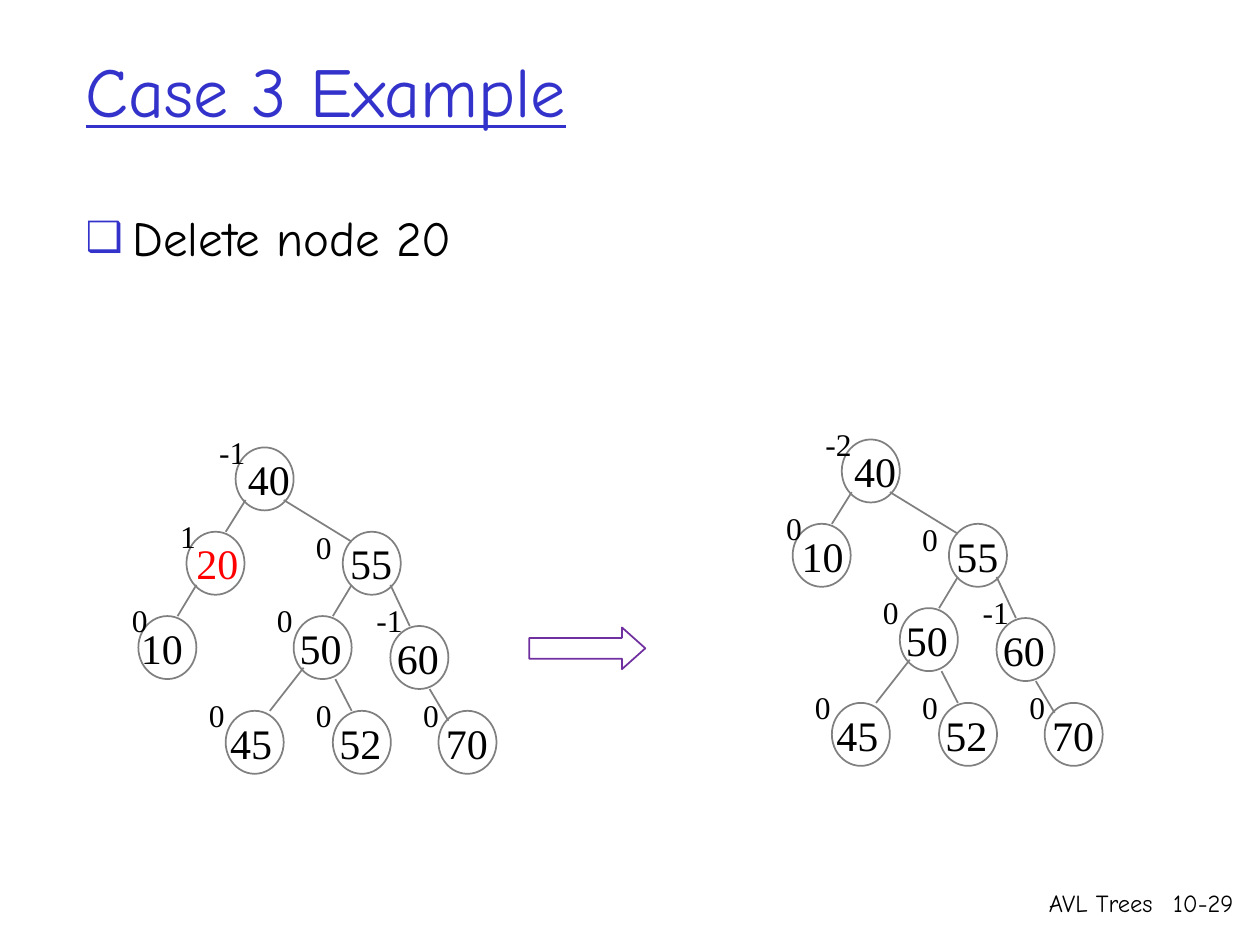
import pptx
import pptx.util
import pptx.dml.color
import pptx.enum.shapes
import pptx.enum.text
import pptx.oxml
import pptx.oxml.ns
import lxml.etree

Cm, Pt = pptx.util.Cm, pptx.util.Pt
RGBColor = pptx.dml.color.RGBColor
MSO_SHAPE = pptx.enum.shapes.MSO_SHAPE
PP_ALIGN = pptx.enum.text.PP_ALIGN
MSO_ANCHOR = pptx.enum.text.MSO_ANCHOR
MSO_AUTO_SIZE = pptx.enum.text.MSO_AUTO_SIZE

BLUE = RGBColor(0x33, 0x33, 0xCC)
BLACK = RGBColor(0, 0, 0)
RED = RGBColor(0xFF, 0, 0)
GRAY = RGBColor(0x80, 0x80, 0x80)
PURPLE = RGBColor(0x70, 0x30, 0xA0)

TITLE = {"name": "Comic Neue", "size": Pt(40), "underline": True}
BODY = {"name": "Comic Neue", "size": Pt(28)}
FOOTER = {"name": "Comic Neue", "size": Pt(14)}
KEY = {"name": "Times New Roman", "size": Pt(24)}
BALANCE = {"name": "Times New Roman", "size": Pt(18)}


def put_text(sp, box, text, fmt, color=BLACK, align=PP_ALIGN.LEFT, wrap=True):
    for name, value in zip(("left", "top", "width", "height"), box):
        setattr(sp, name, Cm(value))
    tf = sp.text_frame
    tf.word_wrap = wrap
    tf.auto_size = MSO_AUTO_SIZE.NONE
    p = tf.paragraphs[0]
    p.alignment = align
    r = p.add_run()
    r.text = text
    for name, value in fmt.items():
        setattr(r.font, name, value)
    r.font.color.rgb = color
    return p


def add_outline(shapes, kind, box, color):
    sp = shapes.add_shape(kind, *map(Cm, box))
    sp.shadow.inherit = False
    sp.fill.background()
    sp.line.color.rgb = color
    sp.line.width = Pt(1)
    return sp


prs = pptx.Presentation()
prs.slide_width, prs.slide_height = Cm(25.4), Cm(19.05)
s = prs.slides.add_slide(prs.slide_layouts[1])

title, body = s.placeholders
put_text(title, (1.47, 0.64, 21.59, 2.34), "Case 3 Example", TITLE, BLUE)
title.text_frame.vertical_anchor = MSO_ANCHOR.MIDDLE

p = put_text(body, (1.47, 4.06, 21.59, 12.9), "Delete node 20", BODY)
p.space_before = Pt(5.6)
pPr = p._p.get_or_add_pPr()
pPr.set("marL", str(Cm(0.95)))
pPr.set("indent", str(Cm(-0.95)))
ns = pptx.oxml.ns.nsdecls("a")
for xml in (
    f'<a:buClr {ns}><a:srgbClr val="{BLUE}"/></a:buClr>',
    f'<a:buSzPct {ns} val="85000"/>',
    f'<a:buChar {ns} char="❑"/>',
):
    pPr.append(pptx.oxml.parse_xml(xml))

for left, width, text in ((15.44, 8.05, "AVL Trees"), (23.06, 2.06, "10-29")):
    sp = s.shapes.add_textbox(0, 0, 0, 0)
    put_text(sp, (left, 17.78, width, 1.27), text, FOOTER, align=PP_ALIGN.RIGHT)

# key, left, top, key shift, balance, balance shift x, balance shift y
right_subtree = [
    ("55", 6.91, 10.72, -0.1, "0", -0.79, -0.2),
    ("50", 5.92, 12.42, -0.13, "0", -0.59, -0.43),
    ("60", 7.87, 12.62, -0.12, "-1", -0.53, -0.63),
    ("45", 4.55, 14.33, -0.16, "0", -0.59, -0.43),
    ("52", 6.71, 14.33, -0.12, "0", -0.59, -0.43),
    ("70", 8.84, 14.33, -0.1, "0", -0.56, -0.43),
]
before = [
    ("40", 4.75, 9.02, 0, "-1", -0.58, -0.42),
    ("20", 3.76, 10.72, -0.05, "1", -0.38, -0.43),
    ("10", 2.79, 12.42, -0.2, "0", -0.38, -0.43),
]
after = [
    ("40", 4.75, 9.02, 0, "-2", -0.58, -0.42),
    ("10", 3.76, 10.72, -0.07, "0", -0.38, -0.43),
]
edges = [
    (4.95, 10.08, 4.55, 10.72),
    (5.72, 10.08, 7.09, 10.92),
    (7.09, 11.79, 6.71, 12.42),
    (7.87, 11.79, 8.26, 12.62),
    (6.12, 13.46, 5.44, 14.33),
    (6.76, 13.69, 7.09, 14.33),
    (8.66, 13.89, 9.04, 14.53),
]
deleted_edge = (3.96, 11.79, 3.58, 12.42)

for nodes, links, dx, dy in (
    (before + right_subtree, edges + [deleted_edge], 0, 0),
    (after + right_subtree, edges, 12.22, -0.16),
):
    tree = s.shapes.add_group_shape().shapes
    for x1, y1, x2, y2 in links:
        ends = (x1 + dx, y1 + dy, x2 + dx, y2 + dy)
        cxn = tree.add_connector(pptx.enum.shapes.MSO_CONNECTOR.STRAIGHT, *map(Cm, ends))
        cxn.line.color.rgb = GRAY
        cxn.line.width = Pt(1)
        lxml.etree.SubElement(cxn._element.spPr, pptx.oxml.ns.qn("a:effectLst"))
    for key, x, y, key_dx, balance, bal_dx, bal_dy in nodes:
        x, y = x + dx, y + dy
        add_outline(tree, MSO_SHAPE.OVAL, (x, y, 1.17, 1.27), GRAY)
        sp = tree.add_textbox(0, 0, 0, 0)
        put_text(sp, (x + key_dx, y, 1.37, 1.27), key, KEY, RED if key == "20" else BLACK)
        sp = tree.add_textbox(0, 0, 0, 0)
        width = 0.84 if len(balance) == 1 else 1.04
        put_text(sp, (x + bal_dx, y + bal_dy, width, 1.02), balance, BALANCE, wrap=False)

sp = add_outline(s.shapes, MSO_SHAPE.RIGHT_ARROW, (10.67, 12.65, 2.34, 0.84), PURPLE)
sp.adjustments[0], sp.adjustments[1] = 0.5, 0.56

prs.save("out.pptx")
